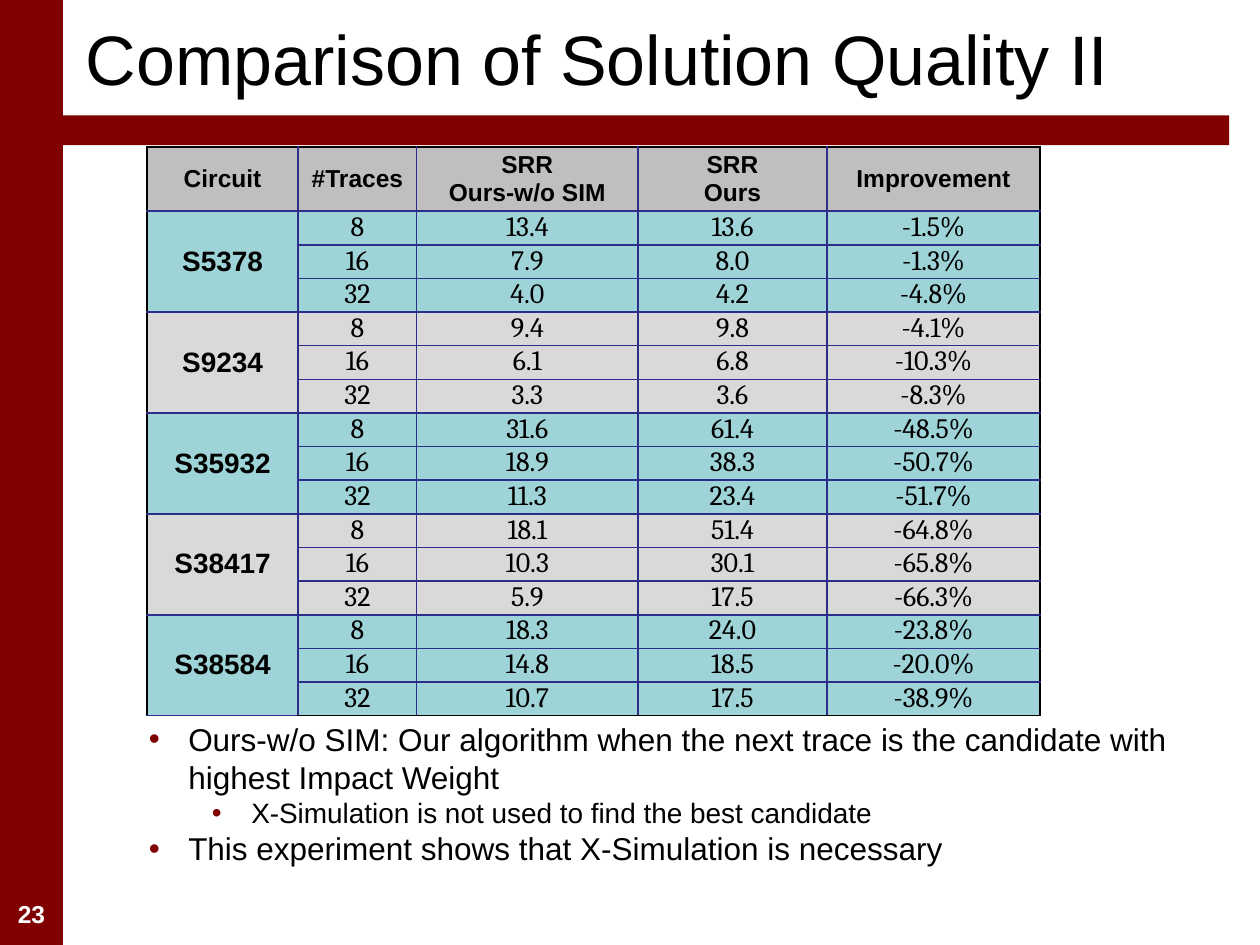
import dataclasses

import pptx
import pptx.dml.color
import pptx.enum.shapes
import pptx.enum.text
import pptx.oxml.ns
import pptx.util
from lxml import etree

Pt = pptx.util.Pt
RGB = pptx.dml.color.RGBColor
ALIGN = pptx.enum.text.PP_ALIGN
ANCHOR = pptx.enum.text.MSO_ANCHOR
qn = pptx.oxml.ns.qn

MAROON = RGB(0x80, 0x00, 0x00)
BLACK = RGB(0x00, 0x00, 0x00)
WHITE = RGB(0xFF, 0xFF, 0xFF)
NAVY = RGB(0x2D, 0x2D, 0x8A)
SILVER = RGB(0xBF, 0xBF, 0xBF)
TEAL = RGB(0x9E, 0xD3, 0xD7)
GREY = RGB(0xD9, 0xD9, 0xD9)


@dataclasses.dataclass
class Box:
    left: float
    top: float
    width: float
    height: float

    def place(self) -> list:
        return [Pt(v) for v in (self.left, self.top, self.width, self.height)]


@dataclasses.dataclass
class Style:
    size: float
    font: str = "Arial"
    color: RGB = BLACK
    bold: bool = False


@dataclasses.dataclass
class Circuit:
    name: str
    rows: list


@dataclasses.dataclass
class Bullet:
    text: str
    size: float
    level: int = 0


TRACES = ("8", "16", "32")
HEADS = ("Circuit", "#Traces", "SRR\nOurs-w/o SIM", "SRR\nOurs", "Improvement")
WIDTHS = (86.4, 67.7, 126.5, 108, 121.7)
HEAD_ROW, DATA_ROW = 36.7, 18.4
CIRCUITS = [
    Circuit("S5378", [("13.4", "13.6", "-1.5%"), ("7.9", "8.0", "-1.3%"),
                      ("4.0", "4.2", "-4.8%")]),
    Circuit("S9234", [("9.4", "9.8", "-4.1%"), ("6.1", "6.8", "-10.3%"),
                      ("3.3", "3.6", "-8.3%")]),
    Circuit("S35932", [("31.6", "61.4", "-48.5%"), ("18.9", "38.3", "-50.7%"),
                       ("11.3", "23.4", "-51.7%")]),
    Circuit("S38417", [("18.1", "51.4", "-64.8%"), ("10.3", "30.1", "-65.8%"),
                       ("5.9", "17.5", "-66.3%")]),
    Circuit("S38584", [("18.3", "24.0", "-23.8%"), ("14.8", "18.5", "-20.0%"),
                       ("10.7", "17.5", "-38.9%")]),
]
BULLETS = [
    Bullet("Ours-w/o SIM: Our algorithm when the next trace is the candidate "
           "with highest Impact Weight", 18),
    Bullet("X-Simulation is not used to find the best candidate", 16, 1),
    Bullet("This experiment shows that X-Simulation is necessary", 18),
]
HEAD = Style(14, bold=True)
NAME = Style(16, bold=True)
DATA = Style(16, "Cambria")


def style_text(para, style: Style, align=ALIGN.LEFT) -> None:
    para.alignment = align
    for run in para.runs:
        font = run.font
        font.size, font.name, font.bold = Pt(style.size), style.font, style.bold
        font.color.rgb = style.color


def add_bar(slide, box: Box) -> None:
    bar = slide.shapes.add_shape(pptx.enum.shapes.MSO_SHAPE.RECTANGLE, *box.place())
    bar.shadow.inherit = False
    bar.fill.solid()
    bar.fill.fore_color.rgb = MAROON
    bar.line.fill.background()


def add_text(slide, box: Box, text: str, style: Style,
             align=ALIGN.LEFT, anchor=ANCHOR.TOP):
    frame = slide.shapes.add_textbox(*box.place()).text_frame
    frame.word_wrap = True
    frame.vertical_anchor = anchor
    frame.text = text
    for para in frame.paragraphs:
        style_text(para, style, align)
    return frame


def add_edge(cell, side: str, color: RGB) -> None:
    props = cell._tc.get_or_add_tcPr()
    line = etree.SubElement(props, qn(f"a:ln{side}"), w=str(Pt(1)))
    fill = etree.SubElement(line, qn("a:solidFill"))
    etree.SubElement(fill, qn("a:srgbClr"), val=str(color))


def fill_cell(cell, text: str, style: Style, fill: RGB, anchor) -> None:
    cell.margin_left = cell.margin_right = Pt(0.7)
    cell.margin_top = cell.margin_bottom = 0
    cell.vertical_anchor = anchor
    cell.text_frame.text = text
    for para in cell.text_frame.paragraphs:
        style_text(para, style, ALIGN.CENTER)
    cell.fill.solid()
    cell.fill.fore_color.rgb = fill


def add_grid(slide, left: float, top: float) -> None:
    count = 1 + len(CIRCUITS) * len(TRACES)
    box = Box(left, top, sum(WIDTHS), HEAD_ROW + (count - 1) * DATA_ROW)
    table = slide.shapes.add_table(count, len(WIDTHS), *box.place()).table
    table.first_row = table.horz_banding = False
    for col, width in zip(table.columns, WIDTHS):
        col.width = Pt(width)
    for i, row in enumerate(table.rows):
        row.height = Pt(DATA_ROW if i else HEAD_ROW)
        for j, cell in enumerate(row.cells):
            outer = {"L": j == 0, "R": j == len(WIDTHS) - 1,
                     "T": i == 0, "B": i == count - 1}
            for side, edge in outer.items():
                add_edge(cell, side, BLACK if edge else NAVY)

    for j, head in enumerate(HEADS):
        fill_cell(table.cell(0, j), head, HEAD, SILVER, ANCHOR.MIDDLE)
    for k, circuit in enumerate(CIRCUITS):
        fill = GREY if k % 2 else TEAL
        first = 1 + k * len(TRACES)
        name = table.cell(first, 0)
        name.merge(table.cell(first + len(TRACES) - 1, 0))
        fill_cell(name, circuit.name, NAME, fill, ANCHOR.MIDDLE)
        for i, (trace, values) in enumerate(zip(TRACES, circuit.rows), first):
            for j, text in enumerate((trace, *values), 1):
                fill_cell(table.cell(i, j), text, DATA, fill, ANCHOR.TOP)


def add_list(slide, box: Box) -> None:
    text = "\n".join(b.text for b in BULLETS)
    frame = add_text(slide, box, text, Style(18))
    for para, item in zip(frame.paragraphs, BULLETS):
        style_text(para, Style(item.size))
        para.level = item.level
        props = para._p.get_or_add_pPr()
        props.set("marL", str(Pt(22.5 + 36 * item.level)))
        props.set("indent", str(Pt(-22.5)))
        color = etree.SubElement(props, qn("a:buClr"))
        etree.SubElement(color, qn("a:srgbClr"), val=str(MAROON))
        etree.SubElement(props, qn("a:buFont"), typeface="Arial")
        etree.SubElement(props, qn("a:buChar"), char="•")


def main() -> None:
    deck = pptx.Presentation()
    deck.slide_width, deck.slide_height = Pt(720), Pt(540)
    slide = deck.slides.add_slide(deck.slide_layouts[6])
    add_bar(slide, Box(0, 0, 36, 540))
    add_text(slide, Box(0, 510, 36, 24), "23",
             Style(14, color=WHITE, bold=True), ALIGN.CENTER)
    add_bar(slide, Box(30, 66, 672.5, 17))
    add_text(slide, Box(42, -6, 660, 78), "Comparison of Solution Quality II",
             Style(40), anchor=ANCHOR.MIDDLE)
    add_grid(slide, 84, 84)
    add_list(slide, Box(78, 408, 612, 94.5))
    deck.save("out.pptx")


if __name__ == "__main__":
    main()
